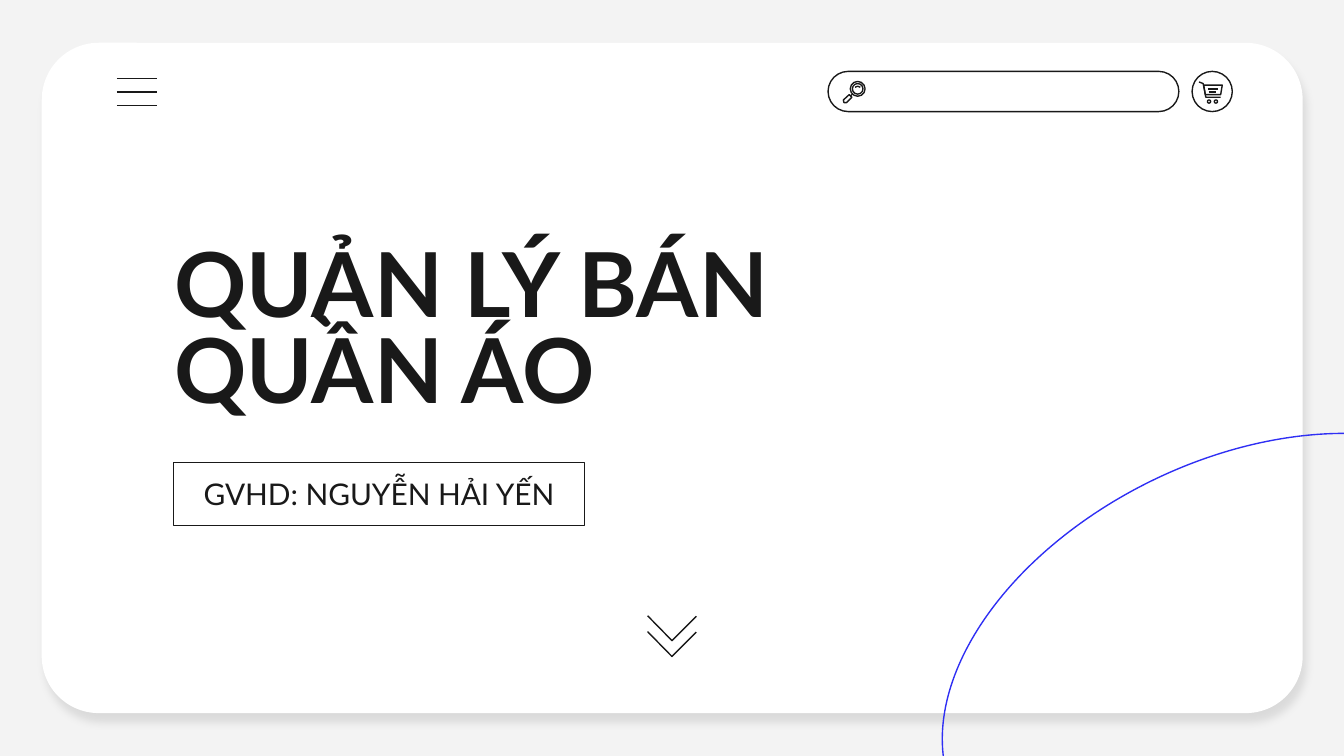
from lxml import etree
from pptx import Presentation
from pptx.dml.color import RGBColor
from pptx.enum.shapes import MSO_CONNECTOR, MSO_SHAPE
from pptx.enum.text import MSO_ANCHOR, MSO_AUTO_SIZE, PP_ALIGN
from pptx.oxml.ns import qn
from pptx.util import Cm, Pt

INK = RGBColor(0x19, 0x19, 0x19)
WHITE = RGBColor(0xFF, 0xFF, 0xFF)
GREY = RGBColor(0xF3, 0xF3, 0xF3)
BLUE = RGBColor(0x2F, 0x2F, 0xF4)
FONT = "Lato"
THIN = Pt(0.75)
ROUNDED, OVAL = MSO_SHAPE.ROUNDED_RECTANGLE, MSO_SHAPE.OVAL
STRAIGHT = MSO_CONNECTOR.STRAIGHT
LEFT, CENTER = PP_ALIGN.LEFT, PP_ALIGN.CENTER
TOP, BOTTOM = MSO_ANCHOR.TOP, MSO_ANCHOR.BOTTOM
NO_FIT = MSO_AUTO_SIZE.NONE

prs = Presentation()
prs.slide_width, prs.slide_height = Cm(25.4), Cm(14.29)
s = prs.slides.add_slide(prs.slide_layouts[0])
s.background.fill.solid()
s.background.fill.fore_color.rgb = GREY


def add_outline(kind, x, y, w, h, color=INK):
    """Add an unfilled preset shape with a thin line; lengths in cm."""
    sp = s.shapes.add_shape(kind, Cm(x), Cm(y), Cm(w), Cm(h))
    sp.shadow.inherit = False
    sp.fill.background()
    sp.line.color.rgb = color
    sp.line.width = THIN
    return sp


def add_path(points, close=False):
    """Add a thin unfilled path through points given in cm."""
    pts = [(Cm(x), Cm(y)) for x, y in points]
    fb = s.shapes.build_freeform(*pts[0])
    fb.add_line_segments(pts[1:], close=close)
    sp = fb.convert_to_shape()
    sp.shadow.inherit = False
    sp.fill.background()
    sp.line.color.rgb = INK
    sp.line.width = THIN


# Card with a soft shadow
card = s.shapes.add_shape(ROUNDED, Cm(0.79), Cm(0.81), Cm(23.83), Cm(12.67))
card.adjustments[0] = 0.17 / 2
card.fill.solid()
card.fill.fore_color.rgb = WHITE
card.line.fill.background()
card.shadow.inherit = False
effects = card.element.spPr.find(qn("a:effectLst"))
shadow = etree.SubElement(effects, qn("a:outerShdw"), blurRad=str(Pt(4.5)),
                          dist=str(Pt(6)), dir=str(68 * 60000),
                          algn="bl", rotWithShape="0")
black = etree.SubElement(shadow, qn("a:srgbClr"), val="000000")
etree.SubElement(black, qn("a:alpha"), val="10000")

# Menu bars and the two lines inside the cart
bars = [(2.21, 2.97, 1.48 + 0.26 * i) for i in range(3)]
bars += [(22.83, 23.01, 1.68), (22.84, 22.99, 1.74)]
for x1, x2, y in bars:
    line = s.shapes.add_connector(STRAIGHT, Cm(x1), Cm(y), Cm(x2), Cm(y))
    line.line.color.rgb = INK
    line.line.width = THIN
    etree.SubElement(line.element.spPr, qn("a:effectLst"))

# Search field with magnifier
search = add_outline(ROUNDED, 15.65, 1.35, 6.63, 0.76)
search.adjustments[0] = 0.5
for d in (0.28, 0.2):
    add_outline(OVAL, 16.21 - d / 2, 1.68 - d / 2, d, d)
add_path([(16.16, 1.65), (16.21, 1.63), (16.26, 1.65)])
add_path([(16.05, 1.79), (16.1, 1.84), (16.0, 1.94), (15.95, 1.94), (15.94, 1.89)], close=True)
add_path([(16.07, 1.82), (16.12, 1.77)])

# Cart button
add_outline(OVAL, 22.53, 1.35, 0.76, 0.76)
add_path([(22.66, 1.55), (22.74, 1.58), (22.79, 1.84), (23.07, 1.84)])
add_path([(22.75, 1.61), (23.1, 1.61), (23.07, 1.79), (22.78, 1.79)], close=True)
for x in (22.85, 22.98):
    add_outline(OVAL, x - 0.03, 1.89, 0.06, 0.06)

# Title and subtitle, brought in front of the card
title, subtitle = s.placeholders
for sp, text, box, size, bold, align, anchor, spacing in (
    (title, "QUẢN LÝ BÁN QUẦN ÁO", (3.05, 4.34, 12.57, 3.86), 48, True, LEFT, BOTTOM, 0.8),
    (subtitle, "GVHD: NGUYỄN HẢI YẾN", (3.28, 8.74, 7.77, 1.19), 16, False, CENTER, TOP, 1.0),
):
    s.shapes.element.append(sp.element)
    sp.left, sp.top, sp.width, sp.height = (Cm(v) for v in box)
    tf = sp.text_frame
    tf.text = text
    tf.word_wrap = True
    tf.auto_size = NO_FIT
    tf.vertical_anchor = anchor
    tf.margin_left = tf.margin_right = tf.margin_top = tf.margin_bottom = Cm(0.25)
    p = tf.paragraphs[0]
    p.alignment = align
    p.line_spacing = spacing
    p.space_before = Pt(0)
    font = p.runs[0].font
    font.name, font.size, font.bold = FONT, Pt(size), bold
    font.color.rgb = INK
subtitle.line.color.rgb = INK
subtitle.line.width = THIN

# Tilted ellipse in the corner and the double chevron
ellipse = add_outline(OVAL, 17.45, 8.71, 11.91, 7.49, BLUE)
ellipse.rotation = 333.9
for y in (11.94, 11.64):
    add_path([(12.24, y), (12.7, y + 0.47), (13.16, y + 0.01)])

prs.save("out.pptx")
